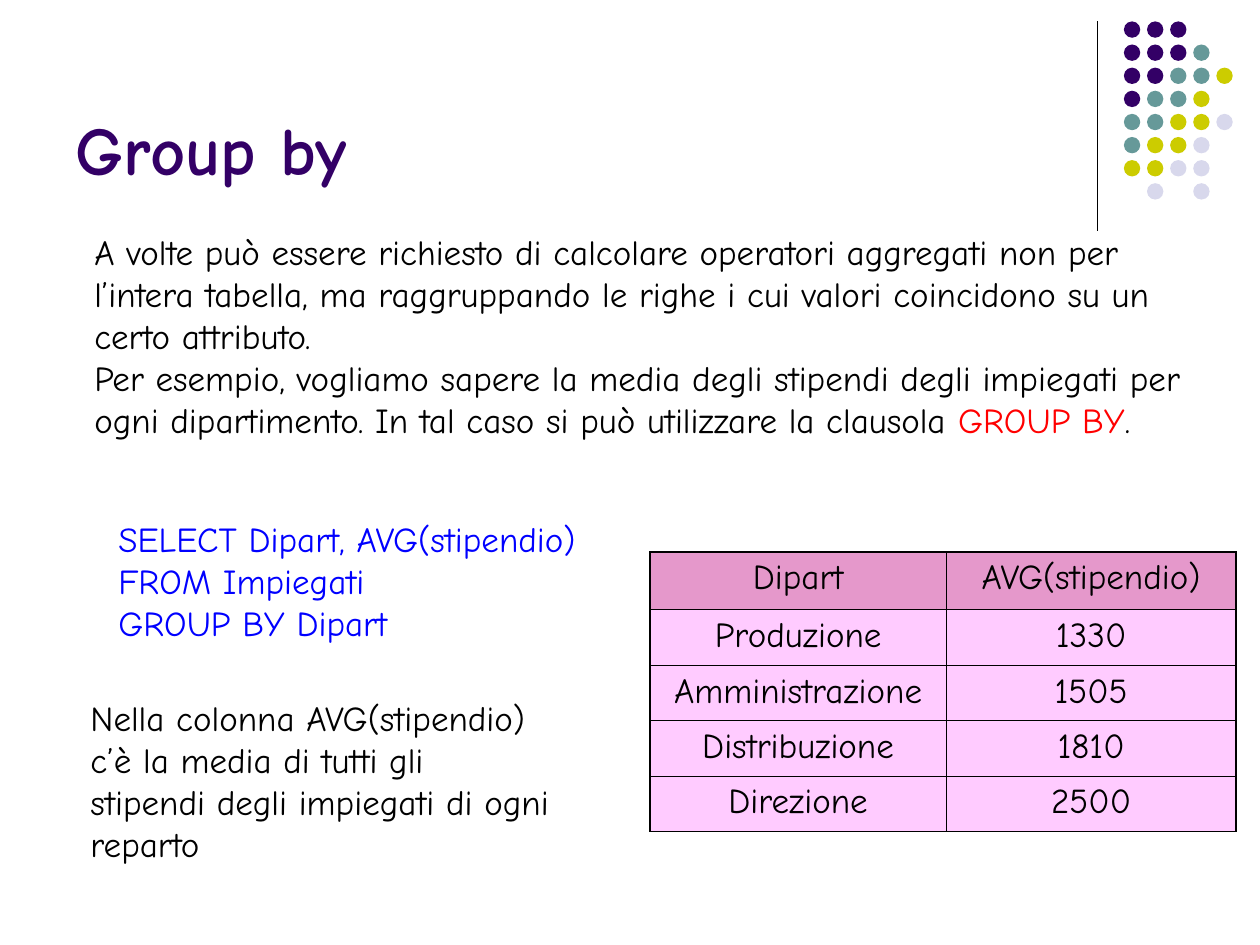
import pptx
import pptx.dml.color
import pptx.enum.shapes
import pptx.enum.text
import pptx.oxml.ns
import pptx.util
from lxml import etree
from pptx.util import Inches

COLORS = {
    "black": "000000", "purple": "330066", "teal": "669999", "olive": "CCCC00",
    "lavender": "D8D8EC", "red": "FF0000", "blue": "0000FF",
    "header": "CC3399", "body": "FF99FF",
}
FONT = "Comic Neue"


def rgb(name):
    return pptx.dml.color.RGBColor.from_string(COLORS[name])


def add_text(left, top, width, height, paragraphs, color="black", size=20, wrap=True, bold=False):
    """Each paragraph is a list of (text, color) runs, or a plain string."""
    box = slide.shapes.add_textbox(Inches(left), Inches(top), Inches(width), Inches(height))
    frame = box.text_frame
    frame.word_wrap = wrap
    for index, runs in enumerate(paragraphs):
        paragraph = frame.paragraphs[0] if index == 0 else frame.add_paragraph()
        paragraph.font.name = FONT
        paragraph.font.size = pptx.util.Pt(size)
        paragraph.font.bold = bold
        if isinstance(runs, str):
            runs = [(runs, color)]
        for text, run_color in runs:
            run = paragraph.add_run()
            run.text = text
            run.font.color.rgb = rgb(run_color)
    return frame


presentation = pptx.Presentation()
presentation.slide_width = Inches(10)
presentation.slide_height = Inches(7.5)
slide = presentation.slides.add_slide(presentation.slide_layouts[6])

# Vertical rule beside the dots
rule = slide.shapes.add_connector(
    pptx.enum.shapes.MSO_CONNECTOR.STRAIGHT,
    Inches(8.71), Inches(0.17), Inches(8.71), Inches(1.83))
rule.line.color.rgb = rgb("black")
rule.line.width = pptx.util.Pt(0.75)
etree.SubElement(rule._element.spPr, pptx.oxml.ns.qn("a:effectLst"))

# Dot pattern: one letter per dot, a space leaves a gap
DOT_COLORS = {"P": "purple", "T": "teal", "O": "olive", "L": "lavender"}
DOT_ROWS = ["PPP", "PPPT", "PPTTO", "PTTO", "TTOOL", "TOOL", "OOLL", " L L"]
DOT_PITCH = 0.1835
dots = slide.shapes.add_group_shape()
for row, letters in enumerate(DOT_ROWS):
    for column, letter in enumerate(letters):
        if letter == " ":
            continue
        dot = dots.shapes.add_shape(
            pptx.enum.shapes.MSO_SHAPE.OVAL,
            Inches(8.92 + column * DOT_PITCH), Inches(0.17 + row * DOT_PITCH),
            Inches(0.13), Inches(0.13))
        dot.shadow.inherit = False
        dot.fill.solid()
        dot.fill.fore_color.rgb = rgb(DOT_COLORS[letter])
        dot.line.fill.background()

# Title
title = add_text(0.5, 0.13, 8.25, 1.42, ["Group by"], "purple", size=39, bold=True)
title.vertical_anchor = pptx.enum.text.MSO_ANCHOR.BOTTOM

# Explanation, query and comment
add_text(0.65, 1.78, 8.92, 1.77, [
    "A volte può essere richiesto di calcolare operatori aggregati non per l’intera tabella, "
    "ma raggruppando le righe i cui valori coincidono su un certo attributo.",
    [("Per esempio, vogliamo sapere la media degli stipendi degli impiegati per ogni "
      "dipartimento. In tal caso si può utilizzare la clausola ", "black"),
     ("GROUP BY", "red"), (".", "black")],
])
add_text(0.84, 4.06, 3.85, 1.1, [
    "SELECT Dipart, AVG(stipendio)", "FROM Impiegati", "GROUP BY Dipart",
], "blue", wrap=False)
add_text(0.62, 5.48, 3.93, 1.44, [
    "Nella colonna AVG(stipendio)", "c’è la media di tutti gli",
    "stipendi degli impiegati di ogni", "reparto",
], wrap=False)

# Result table
ROWS = [
    ("Dipart", "AVG(stipendio)"),
    ("Produzione", "1330"),
    ("Amministrazione", "1505"),
    ("Distribuzione", "1810"),
    ("Direzione", "2500"),
]
table = slide.shapes.add_table(
    len(ROWS), 2, Inches(5.16), Inches(4.38), Inches(4.65), Inches(2.2)).table
table.first_row = False
table.horz_banding = False
table.columns[0].width = Inches(2.35)
table.columns[1].width = Inches(2.3)
for row, values in enumerate(ROWS):
    table.rows[row].height = Inches(0.46 if row == 0 else 0.44)
    for column, value in enumerate(values):
        cell = table.cell(row, column)
        cell.text = value
        paragraph = cell.text_frame.paragraphs[0]
        paragraph.alignment = pptx.enum.text.PP_ALIGN.CENTER
        paragraph.font.name = FONT
        paragraph.font.size = pptx.util.Pt(20)
        paragraph.font.color.rgb = rgb("black")

        # Half-transparent fill
        cell.fill.solid()
        cell.fill.fore_color.rgb = rgb("header" if row == 0 else "body")
        properties = cell._tc.tcPr
        fill_color = properties.find(".//" + pptx.oxml.ns.qn("a:srgbClr"))
        etree.SubElement(fill_color, pptx.oxml.ns.qn("a:alpha"), val="50000")

        # Borders: thicker on the outer edge
        outer_sides = {"lnL": column == 0, "lnR": column == 1,
                       "lnT": row == 0, "lnB": row == len(ROWS) - 1}
        for position, (side, outer) in enumerate(outer_sides.items()):
            border = etree.Element(pptx.oxml.ns.qn("a:" + side),
                                   w=str(pptx.util.Pt(1.08 if outer else 0.45)))
            fill = etree.SubElement(border, pptx.oxml.ns.qn("a:solidFill"))
            etree.SubElement(fill, pptx.oxml.ns.qn("a:srgbClr"), val=COLORS["black"])
            properties.insert(position, border)

presentation.save("out.pptx")
